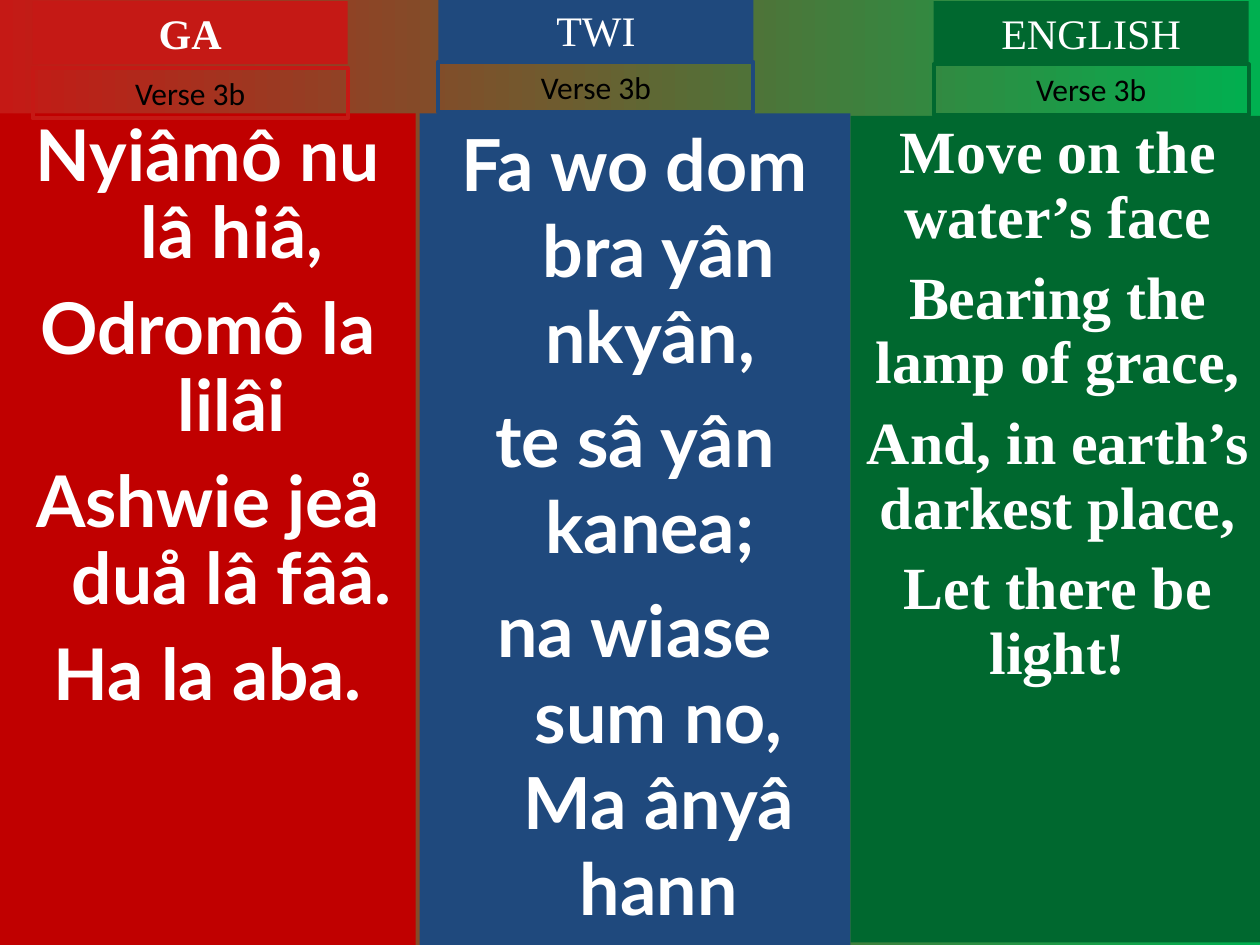
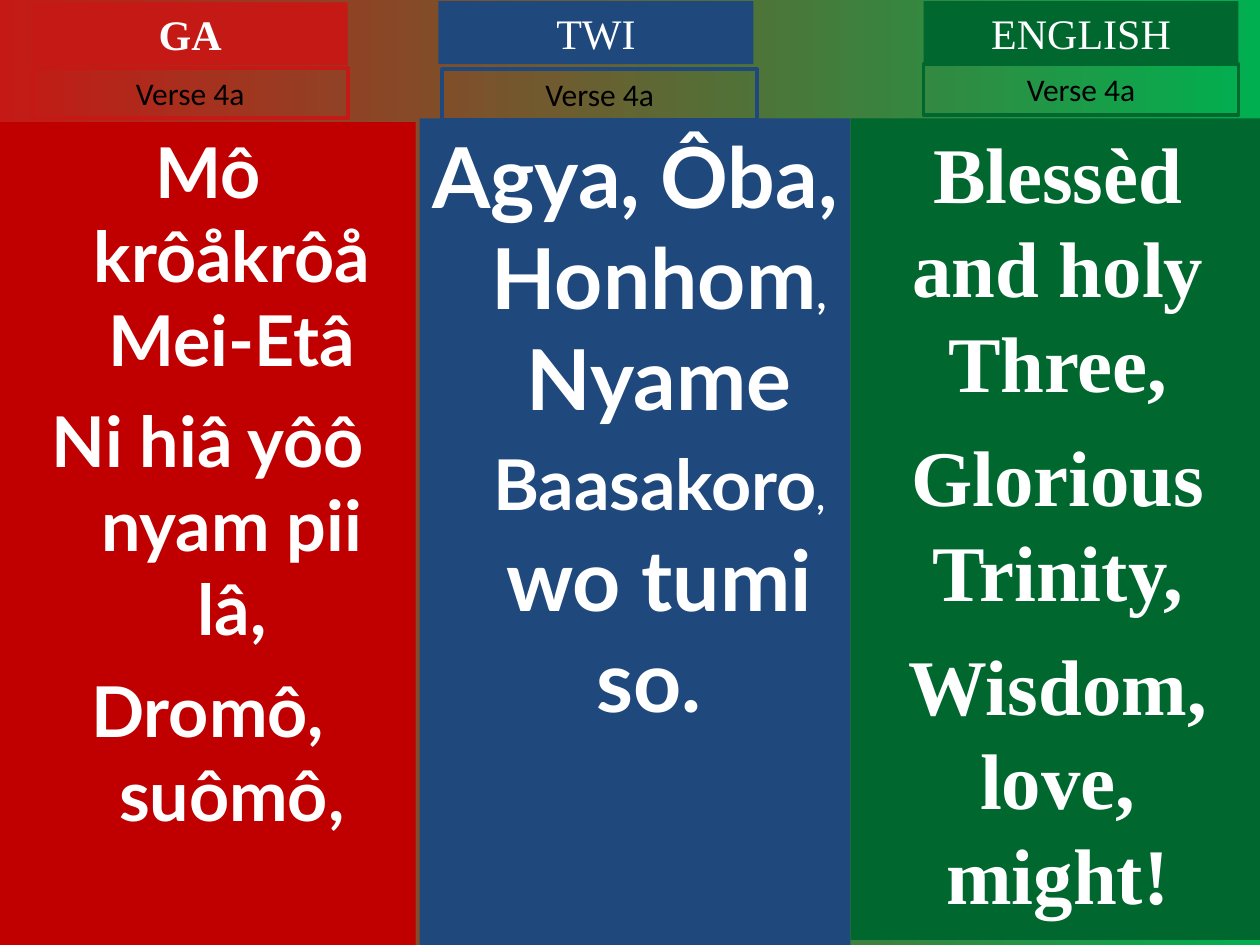
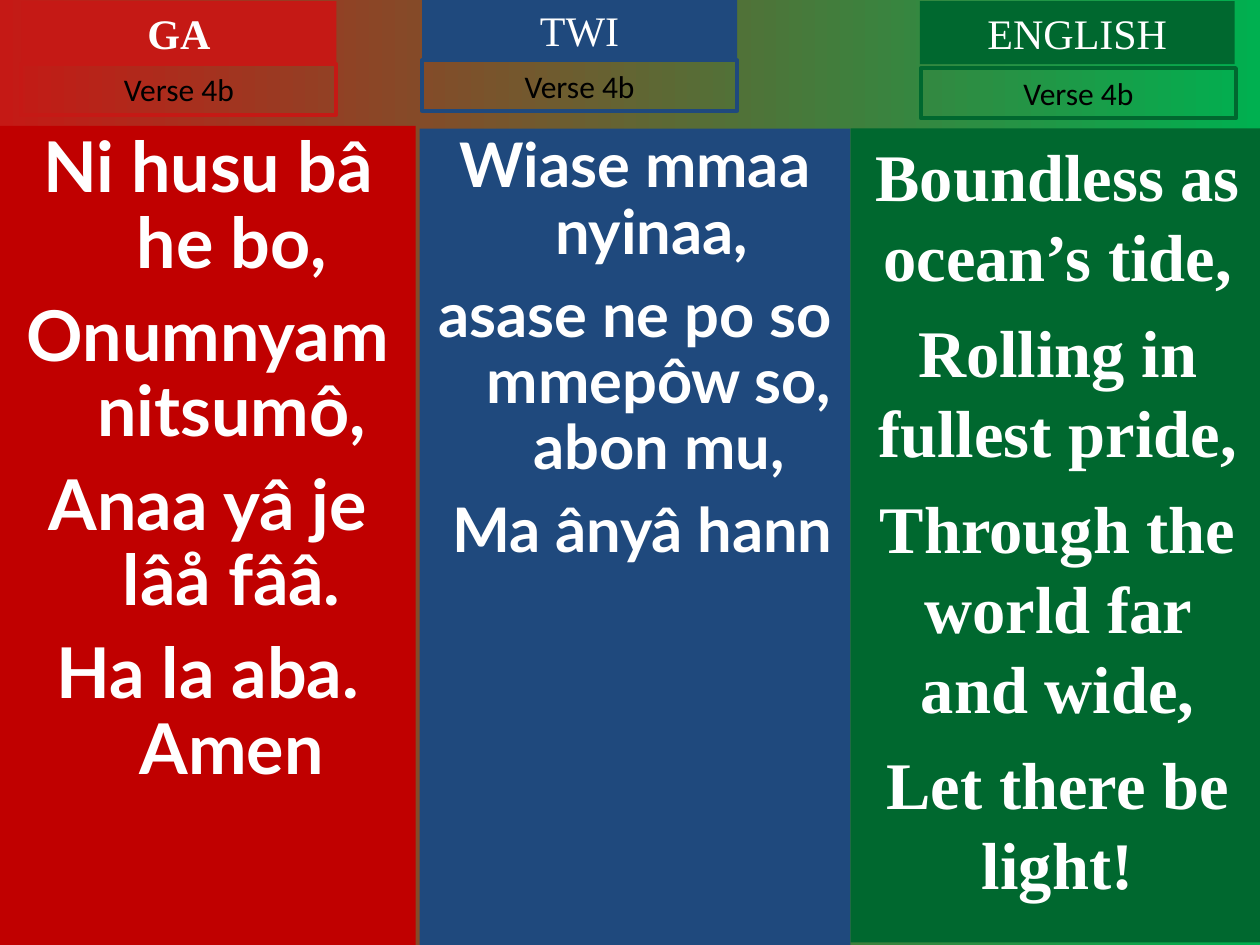
from dataclasses import dataclass

from pptx import Presentation
from pptx.dml.color import RGBColor
from pptx.enum.shapes import MSO_SHAPE
from pptx.enum.text import MSO_ANCHOR, MSO_AUTO_SIZE, PP_ALIGN
from pptx.util import Pt

RECTANGLE = MSO_SHAPE.RECTANGLE
TOP = MSO_ANCHOR.TOP
CENTER = PP_ALIGN.CENTER
FIT_SHAPE = MSO_AUTO_SIZE.SHAPE_TO_FIT_TEXT

COLORS = {
    "red": "C51915",
    "dark red": "C00000",
    "blue": "1F497D",
    "green": "00682F",
    "bright green": "00B050",
    "white": "FFFFFF",
    "black": "000000",
}
SERIF = "Times New Roman"
LABEL_WIDTH, HEADING_HEIGHT, VERSE_HEIGHT = 180, 36, 28.8


@dataclass(frozen=True)
class Language:
    name: str
    accent: str
    panel_color: str
    panel_left: float
    panel_width: float
    font: str
    hanging: float = 0
    bold_heading: bool = False


@dataclass(frozen=True)
class Span:
    text: str
    size: float


@dataclass(frozen=True)
class Column:
    """Positions and lyrics of one language on one slide."""
    language: Language
    heading: tuple[float, float]
    verse: tuple[float, float]
    panel_top: float
    size: float
    space_before: float
    lyrics: tuple[str | tuple[Span, ...], ...]
    line_spacing: float = 1.0
    panel_bottom: float = 540


@dataclass(frozen=True)
class Verse:
    label: str
    columns: tuple[Column, ...]


GA = Language("GA", "red", "dark red", 0, 237.6, "Lato", 27.36, True)
TWI = Language("TWI", "blue", "blue", 239.76, 246.24, "Lato", 27.36)
ENGLISH = Language("ENGLISH", "green", "green", 486, 236.88, SERIF)

VERSES = (
    Verse("Verse 3b", (
        Column(GA, (18.72, 0.72), (18.72, 38.88), 64.8, 40.7, 11,
               ("Nyiâmô nu lâ hiâ,", "Odromô la lilâi",
                "Ashwie jeå duå lâ fââ.", "Ha la aba."), 0.9),
        Column(TWI, (250.56, -0.72), (250.56, 35.28), 64.8, 41, 10.3,
               ("Fa wo dom bra yân nkyân, ", "te sâ yân kanea; ",
                "na wiase sum no, Ma ânyâ hann")),
        Column(ENGLISH, (533.52, 0.72), (533.52, 36.72), 66.24, 34.2, 9.2,
               ("Move on the water’s face", "Bearing the lamp of grace,",
                "And, in earth’s darkest place,", "Let there be light!"),
               0.9, 538.56),
    )),
    Verse("Verse 4a", (
        Column(GA, (18.72, 1.44), (18.72, 38.88), 69.84, 40, 10,
               ("Mô krôåkrôå Mei-Etâ", "Ni hiâ yôô nyam pii lâ,",
                "Dromô, suômô,")),
        Column(TWI, (250.56, 0.72), (252.72, 39.6), 67.68, 48, 12,
               ((Span("Agya, Ôba, Honhom", 48), Span(",", 24),
                 Span(" Nyame ", 48), Span("Baasakoro", 40),
                 Span(",", 20), Span(" wo tumi so. ", 48)),)),
        Column(ENGLISH, (527.76, 0.72), (527.76, 36.72), 67.68, 45, 11.2,
               ("Blessèd and holy Three,", "Glorious Trinity,",
                "Wisdom, love, might!"), panel_bottom=537.12),
    )),
    Verse("Verse 4b", (
        Column(GA, (12.24, 0.72), (12.24, 36.72), 72, 40, 10,
               ("Ni husu bâ he bo,", "Onumnyam nitsumô,",
                "Anaa yâ je lâå fââ.", "Ha la aba. Amen"), 0.9),
        Column(TWI, (241.2, -0.72), (241.2, 34.56), 73.44, 35.1, 9.5,
               ("Wiase mmaa nyinaa, ", "asase ne po so mmepôw so, abon mu,",
                " Ma ânyâ hann"), 0.9),
        Column(ENGLISH, (525.6, 0.72), (526.32, 38.88), 73.44, 38, 9.5,
               ("Boundless as ocean’s tide,", "Rolling in fullest pride,",
                "Through the world far and wide,", "Let there be light!"),
               panel_bottom=538.56),
    )),
)


def rgb(name: str) -> RGBColor:
    return RGBColor.from_string(COLORS[name])


def add_box(page, left: float, top: float, width: float, height: float,
            fill: str | None = None, line: str | None = None):
    box = page.shapes.add_shape(RECTANGLE, Pt(left), Pt(top), Pt(width), Pt(height))
    box.shadow.inherit = False
    if fill:
        box.fill.solid()
        box.fill.fore_color.rgb = rgb(fill)
    else:
        box.fill.background()
    if line:
        box.line.color.rgb = rgb(line)
        box.line.width = Pt(2.25)
    else:
        box.line.fill.background()
    box.text_frame.word_wrap = True
    box.text_frame.vertical_anchor = TOP
    return box


def format_font(font, name: str, size: float, color: str, bold: bool) -> None:
    font.name = name
    font.size = Pt(size)
    font.color.rgb = rgb(color)
    font.bold = bold


def add_label(page, text: str, position: tuple[float, float], height: float,
              font: str, size: float, color: str, bold: bool = False,
              fill: str | None = None, line: str | None = None) -> None:
    """Add a one-line box that fits its text."""
    box = add_box(page, *position, LABEL_WIDTH, height, fill, line)
    box.text_frame.auto_size = FIT_SHAPE
    box.text_frame.text = text
    paragraph = box.text_frame.paragraphs[0]
    paragraph.alignment = CENTER
    format_font(paragraph.runs[0].font, font, size, color, bold)


def add_lyrics(page, column: Column) -> None:
    language = column.language
    panel = add_box(page, language.panel_left, column.panel_top, language.panel_width,
                    column.panel_bottom - column.panel_top, language.panel_color)
    frame = panel.text_frame
    for index, lyric in enumerate(column.lyrics):
        paragraph = frame.add_paragraph() if index else frame.paragraphs[0]
        paragraph.alignment = CENTER
        paragraph.line_spacing = column.line_spacing
        if index:
            paragraph.space_before = Pt(column.space_before)
        if language.hanging:
            properties = paragraph._p.get_or_add_pPr()
            properties.set("marL", str(Pt(language.hanging)))
            properties.set("indent", str(Pt(-language.hanging)))
        spans = (Span(lyric, column.size),) if isinstance(lyric, str) else lyric
        for span in spans:
            run = paragraph.add_run()
            run.text = span.text
            format_font(run.font, language.font, span.size, "white", True)


def add_column(page, column: Column, verse_label: str) -> None:
    language = column.language
    add_lyrics(page, column)
    add_label(page, language.name, column.heading, HEADING_HEIGHT, SERIF, 24,
              "white", language.bold_heading, fill=language.accent)
    add_label(page, verse_label, column.verse, VERSE_HEIGHT, "Calibri", 18,
              "black", line=language.accent)


def set_background(master) -> None:
    fill = master.background.fill
    fill.gradient()
    fill.gradient_angle = 0
    for stop, color in zip(fill.gradient_stops, ("red", "bright green")):
        stop.color.rgb = rgb(color)


def main() -> None:
    deck = Presentation()
    deck.slide_width, deck.slide_height = Pt(720), Pt(540)
    set_background(deck.slide_master)
    blank = deck.slide_layouts.get_by_name("Blank")
    for verse in VERSES:
        page = deck.slides.add_slide(blank)
        for column in verse.columns:
            add_column(page, column, verse.label)
    deck.save("out.pptx")


if __name__ == "__main__":
    main()
